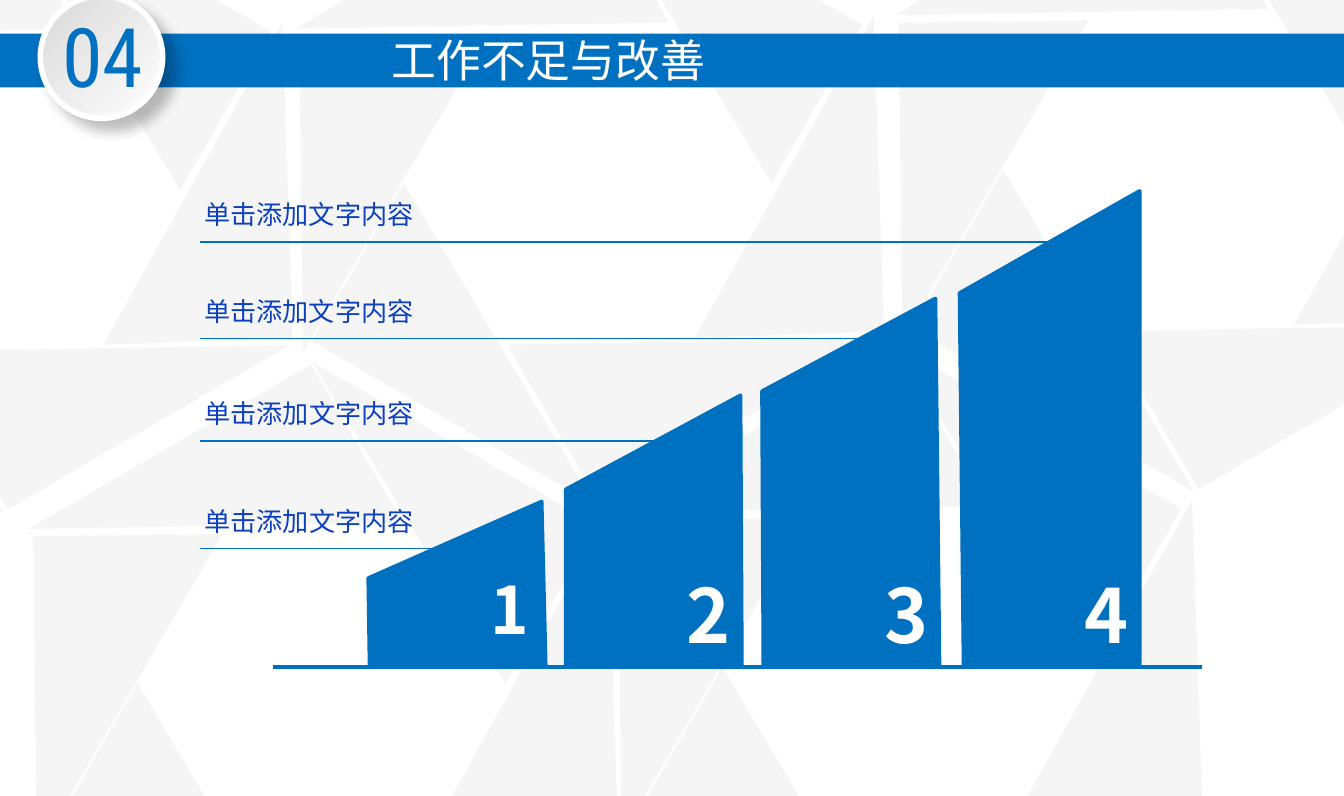
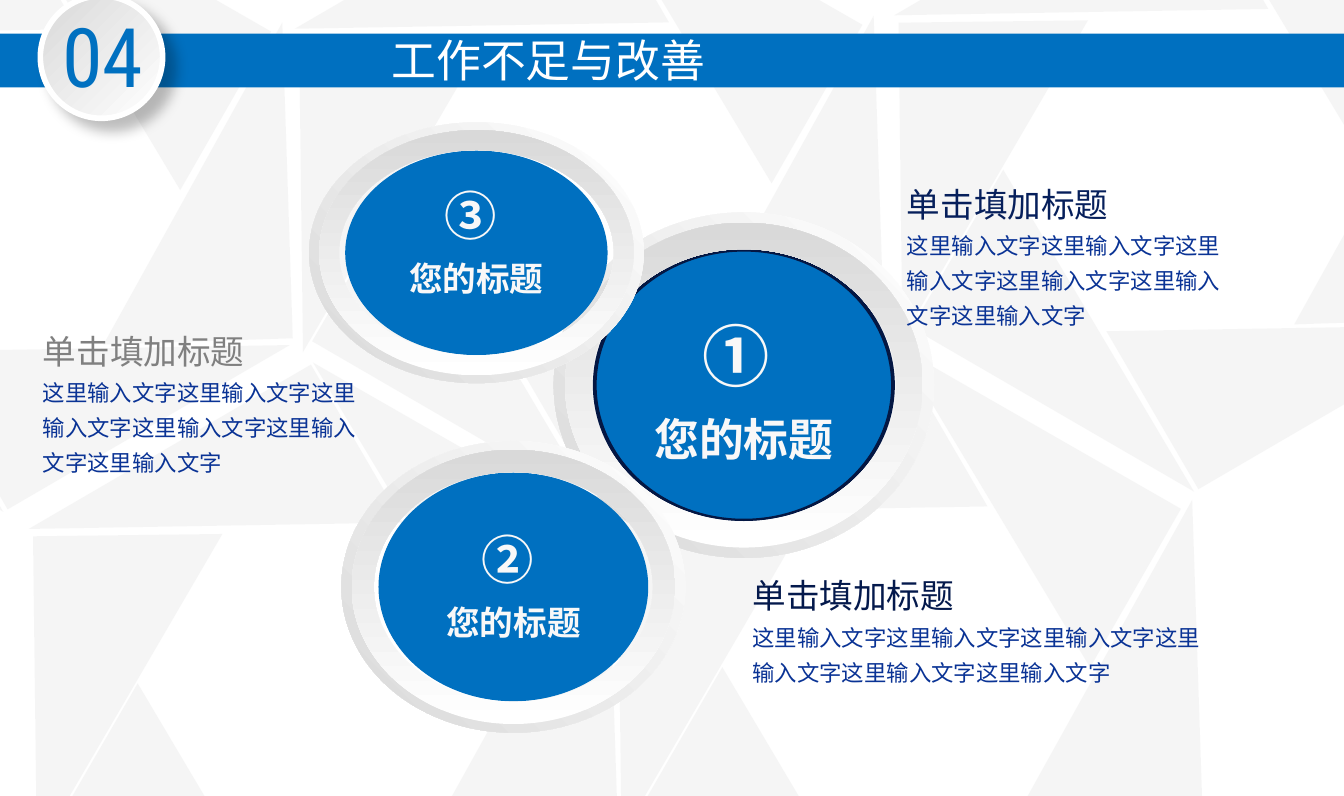
from dataclasses import dataclass

from lxml import etree
from pptx import Presentation
from pptx.dml.color import RGBColor
from pptx.enum import shapes as kinds, text as text_enums
from pptx.oxml import ns
from pptx.util import Inches, Pt

# Shared look
BLUE = RGBColor(0x00, 0x70, 0xC0)
NAVY = RGBColor(0x04, 0x17, 0x43)
LABEL_BLUE = RGBColor(0x0C, 0x40, 0xBC)
BODY_BLUE = RGBColor(0x0A, 0x33, 0x95)
HEADING_NAVY = RGBColor(0x04, 0x19, 0x4C)
HEADING_BLUE = RGBColor(0x06, 0x1F, 0x5B)
HEADING_GRAY = RGBColor(0x80, 0x80, 0x80)
LIGHT_GRAY = RGBColor(0xD9, 0xD9, 0xD9)
FACET_GRAY = RGBColor(0xBF, 0xBF, 0xBF)
OFF_WHITE = RGBColor(0xF8, 0xF8, 0xF8)
WHITE = RGBColor(0xFF, 0xFF, 0xFF)
CJK_FONT = "Noto Sans CJK SC"
NUMBER_FONT = "Roboto Condensed"
AUTO_SHAPE = kinds.MSO_SHAPE
CENTER = text_enums.PP_ALIGN.CENTER
LEFT = text_enums.PP_ALIGN.LEFT
TITLE_ONLY = 5


@dataclass(frozen=True)
class Box:
    left: float
    top: float
    width: float
    height: float

    def inches(self) -> tuple:
        return tuple(Inches(n) for n in (self.left, self.top, self.width, self.height))

    def scaled(self, factor: float) -> "Box":
        """Same centre, smaller size."""
        width, height = self.width * factor, self.height * factor
        return Box(self.left + (self.width - width) / 2,
                   self.top + (self.height - height) / 2, width, height)


@dataclass(frozen=True)
class Line:
    text: str
    size: float
    color: RGBColor
    bold: bool = False
    font: str = CJK_FONT


@dataclass(frozen=True)
class Facet:
    box: Box
    rotation: float


@dataclass(frozen=True)
class Step:
    number: Line
    number_height: float
    top_left: tuple[float, float]
    top_right: tuple[float, float]
    base_left: float
    base_right: float
    line_y: float
    line_end: float
    label_width: float


@dataclass(frozen=True)
class Dial:
    number: str
    ring: Box
    text_top: float
    text_height: float
    number_size: float
    title_size: float
    outlined: bool = False


@dataclass(frozen=True)
class Note:
    box: Box
    heading_color: RGBColor


# Background facets, relative to the start of each cluster
FACETS = [
    Facet(Box(0, 0, 2.43, 1.36), 149.8),
    Facet(Box(0.13, 2.37, 2.43, 1.36), 30.1),
    Facet(Box(1.58, 2.35, 2.43, 1.36), 329.8),
    Facet(Box(2.29, 1.1, 2.35, 1.41), 268.1),
    Facet(Box(1.44, -0.02, 2.43, 1.36), 209.8),
    Facet(Box(-0.6, 1.22, 2.35, 1.41), 89.3),
]
CLUSTERS = [(0.39, 3.23), (4.74, 3.11), (2.37, -0.49), (6.83, -0.59), (-2.03, -0.44)]

# Slide contents
TITLE = "工作不足与改善"
STEP_LABEL = "单击添加文字内容"
DIAL_TITLE = "您的标题"
NOTE_HEADING = "单击填加标题"
NOTE_BODY = "这里输入文字" * 6
BASELINE = 4.95
STEPS = [
    Step(Line("1", 35, WHITE, True), 0.69, (2.74, 4.3), (4.03, 3.73), 2.75, 4.06,
         4.08, 3.78, 2.68),
    Step(Line("2", 40, WHITE, True), 0.77, (4.21, 3.64), (5.51, 2.94), 4.21, 5.52,
         3.28, 5.29, 2.68),
    Step(Line("3", 40, WHITE, True), 0.77, (5.67, 2.91), (6.96, 2.22), 5.68, 6.99,
         2.52, 6.77, 2.36),
    Step(Line("4", 40, WHITE, True), 0.77, (7.14, 2.18), (8.48, 1.42), 7.17, 8.48,
         1.8, 8.27, 2.36),
]
DIALS = [
    Dial("① ", Box(4.12, 1.58, 2.83, 2.57), 2.11, 1.62, 36, 24, outlined=True),
    Dial("② ", Box(2.54, 3.28, 2.56, 2.17), 3.73, 1.33, 28, 18),
    Dial("③ ", Box(2.3, 0.91, 2.49, 1.94), 1.17, 1.45, 28, 18),
]
NOTES = [
    Note(Box(5.5, 4.14, 3.68, 1.33), HEADING_NAVY),
    Note(Box(6.65, 1.23, 2.68, 1.59), HEADING_BLUE),
    Note(Box(0.22, 2.32, 2.68, 1.59), HEADING_GRAY),
]


# Drawing helpers
def add_xml(parent, tag: str, **attributes: str):
    return etree.SubElement(parent, ns.qn(tag), attributes)


def set_line(shape, color: RGBColor | None, width: float = 0) -> None:
    if color is None:
        shape.line.fill.background()
    else:
        shape.line.color.rgb = color
        shape.line.width = Pt(width)


def fill_solid(shape, color: RGBColor) -> None:
    shape.fill.solid()
    shape.fill.fore_color.rgb = color


def fill_gradient(shape, start: RGBColor, end: RGBColor, clockwise: float) -> None:
    shape.fill.gradient()
    shape.fill.gradient_angle = 360 - clockwise
    for stop, color in zip(shape.fill.gradient_stops, (start, end)):
        stop.color.rgb = color


def add_preset(shapes, kind, box: Box, color: RGBColor | None = None):
    shape = shapes.add_shape(kind, *box.inches())
    shape.shadow.inherit = False
    set_line(shape, None)
    if color is not None:
        fill_solid(shape, color)
    return shape


def write(shape, lines: list[Line], align=LEFT, spacing: float | None = None,
          anchor=text_enums.MSO_ANCHOR.TOP, grow: bool = True) -> None:
    frame = shape.text_frame
    frame.text = "\n".join(line.text for line in lines)
    frame.word_wrap = True
    frame.vertical_anchor = anchor
    sizing = text_enums.MSO_AUTO_SIZE
    frame.auto_size = sizing.SHAPE_TO_FIT_TEXT if grow else sizing.NONE
    for paragraph, line in zip(frame.paragraphs, lines):
        paragraph.alignment = align
        if spacing is not None:
            paragraph.line_spacing = spacing
        for run in paragraph.runs:
            run.font.size = Pt(line.size)
            run.font.bold = line.bold
            run.font.color.rgb = line.color
            run.font.name = line.font
            add_xml(run.font._element, "a:ea", typeface=line.font)


def add_text(shapes, box: Box, lines: list[Line], align=LEFT,
             spacing: float | None = None):
    shape = shapes.add_textbox(*box.inches())
    write(shape, lines, align, spacing)
    return shape


def add_line(shapes, start: tuple[float, float], end: tuple[float, float],
             width: float, oval_start: bool = False) -> None:
    connector = shapes.add_connector(kinds.MSO_CONNECTOR.STRAIGHT,
                                     *(Inches(n) for n in (*start, *end)))
    set_line(connector, BLUE, width)
    if oval_start:
        add_xml(connector.line._get_or_add_ln(), "a:headEnd", type="oval")
    add_xml(connector.element.spPr, "a:effectLst")


# Shared parts
def add_background(slide) -> None:
    """Draw the facets and move them to the layout, behind its placeholders."""
    layout_tree = slide.slide_layout.shapes.element
    position = 2
    for left, top in CLUSTERS:
        for facet in FACETS:
            box = Box(left + facet.box.left, top + facet.box.top,
                      facet.box.width, facet.box.height)
            if box.left + box.width < 0:
                continue
            shape = add_preset(slide.shapes, AUTO_SHAPE.RIGHT_TRIANGLE, box, FACET_GRAY)
            shape.rotation = facet.rotation
            color = shape.element.spPr.find(".//" + ns.qn("a:srgbClr"))
            add_xml(color, "a:alpha", val="14000")
            shape.element.nvSpPr.cNvPr.set("id", str(100 + position))
            layout_tree.insert(position, shape.element)
            position += 1


def add_header(slide) -> None:
    add_preset(slide.shapes, AUTO_SHAPE.RECTANGLE, Box(0, 0.25, 10, 0.4), BLUE)

    # Round section badge
    badge = slide.shapes.add_group_shape().shapes
    disc = add_preset(badge, AUTO_SHAPE.OVAL, Box(0.3, -0.03, 0.91, 0.91))
    fill_gradient(disc, LIGHT_GRAY, WHITE, 45)
    set_line(disc, WHITE, 3)
    effects = disc.element.spPr.find(ns.qn("a:effectLst"))
    shadow = add_xml(effects, "a:outerShdw", blurRad=str(Pt(7)), dist=str(Pt(8)),
                     dir="2700000", algn="tl", rotWithShape="0")
    add_xml(add_xml(shadow, "a:srgbClr", val="000000"), "a:alpha", val="25000")
    add_text(badge, Box(0.35, -0.01, 0.83, 0.84),
             [Line("04", 44, BLUE, font=NUMBER_FONT)], CENTER)

    # Title, in front of the band
    title = slide.shapes.title
    title.left, title.top, title.width, title.height = Box(2.13, 0.16, 3.9, 0.56).inches()
    write(title, [Line(TITLE, 24, WHITE)], CENTER,
          anchor=text_enums.MSO_ANCHOR.MIDDLE, grow=False)
    slide.shapes.element.append(title.element)


# Slide 1: rising steps
def add_step(slide, step: Step) -> None:
    group = slide.shapes.add_group_shape().shapes
    corners = [step.top_left, step.top_right,
               (step.base_right, BASELINE), (step.base_left, BASELINE)]
    points = [(Inches(x), Inches(y)) for x, y in corners]
    builder = group.build_freeform(*points[0])
    builder.add_line_segments(points[1:], close=True)
    bar = builder.convert_to_shape()
    bar.shadow.inherit = False
    fill_solid(bar, BLUE)
    set_line(bar, BLUE, 2)
    add_xml(bar.line._get_or_add_ln(), "a:round")

    number_box = Box(step.base_right - 0.51, 4.18, 0.5, step.number_height)
    number = add_preset(group, AUTO_SHAPE.RECTANGLE, number_box, BLUE)
    set_line(number, BLUE, 0.75)
    write(number, [step.number])


def add_step_label(slide, step: Step) -> None:
    add_line(slide.shapes, (step.line_end, step.line_y), (1.49, step.line_y), 0.75, True)
    label = add_text(slide.shapes, Box(1.43, step.line_y - 0.41, step.label_width, 0.37),
                     [Line(STEP_LABEL, 14, LABEL_BLUE)], spacing=1.2)
    frame = label.text_frame
    frame.margin_left = frame.margin_right = Inches(0.09)
    frame.margin_top = frame.margin_bottom = Inches(0.04)


def fill_steps_slide(slide) -> None:
    for step in STEPS:
        add_step(slide, step)
    for step in STEPS:
        add_step_label(slide, step)
    add_line(slide.shapes, (2.03, 4.96), (8.94, 4.96), 2.25)


# Slide 2: overlapping dials with notes
def add_dial(slide, dial: Dial) -> None:
    group = slide.shapes.add_group_shape().shapes
    core = add_preset(group, AUTO_SHAPE.OVAL, dial.ring.scaled(0.784), BLUE)
    if dial.outlined:
        set_line(core, NAVY, 2)
    for scale, thickness, angle in ((1, 0.101, 135), (0.94, 0.081, 270)):
        ring = add_preset(group, AUTO_SHAPE.DONUT, dial.ring.scaled(scale))
        ring.adjustments[0] = thickness
        fill_gradient(ring, WHITE, LIGHT_GRAY, angle)
    wide = dial.ring.scaled(1.048)
    add_text(group, Box(wide.left, dial.text_top, wide.width, dial.text_height),
             [Line(dial.number, dial.number_size, OFF_WHITE, True),
              Line(DIAL_TITLE, dial.title_size, OFF_WHITE, True)], CENTER, 1.3)


def fill_dials_slide(slide) -> None:
    for dial in DIALS:
        add_dial(slide, dial)
    for note in NOTES:
        add_text(slide.shapes, note.box,
                 [Line(NOTE_HEADING, 18, note.heading_color),
                  Line(NOTE_BODY, 12, BODY_BLUE)], spacing=1.3)


def main() -> None:
    presentation = Presentation()
    presentation.slide_width = Inches(10)
    presentation.slide_height = Inches(5.92)
    layout = presentation.slide_layouts[TITLE_ONLY]
    for index, fill_slide in enumerate((fill_steps_slide, fill_dials_slide)):
        slide = presentation.slides.add_slide(layout)
        if index == 0:
            add_background(slide)
        fill_slide(slide)
        add_header(slide)
    presentation.save("out.pptx")


if __name__ == "__main__":
    main()
